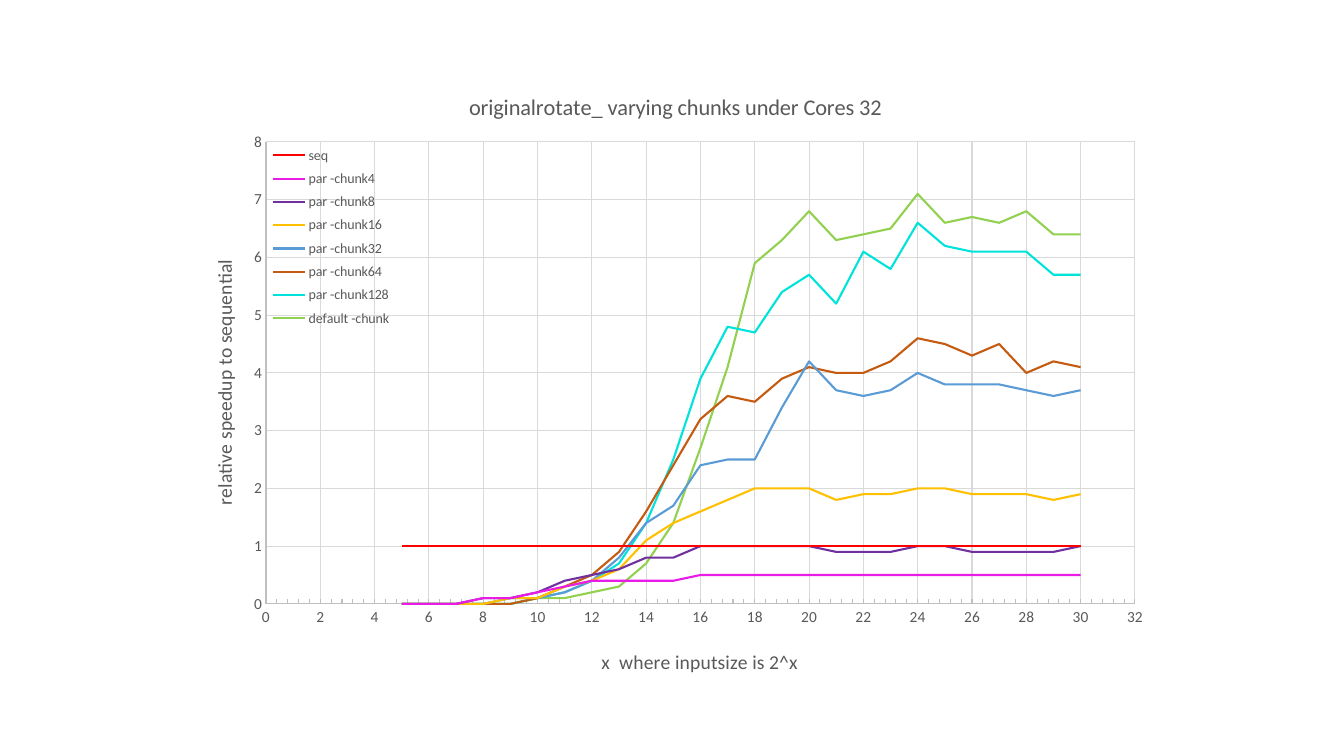
from lxml.etree import SubElement
from pptx import Presentation
from pptx.chart.data import XyChartData
from pptx.dml.color import RGBColor
from pptx.enum.chart import XL_CHART_TYPE, XL_LEGEND_POSITION, XL_TICK_LABEL_POSITION, XL_TICK_MARK
from pptx.oxml.ns import qn
from pptx.util import Pt

PX = 914400 / 100.8
LEFT, TOP, WIDTH, HEIGHT = 180, 66, 983, 625
GREY = "595959"
SERIES = {
    "seq": ("FF0000", [1] * 26),
    "par -chunk4": ("E81CE6", [0, 0, 0, 0.1, 0.1, 0.2, 0.3, 0.4, 0.4, 0.4, 0.4] + [0.5] * 15),
    "par -chunk8": ("7030A0", [0, 0, 0, 0.1, 0.1, 0.2, 0.4, 0.5, 0.6, 0.8, 0.8, 1, 1,
                               1, 1, 1, 0.9, 0.9, 0.9, 1, 1, 0.9, 0.9, 0.9, 0.9, 1]),
    "par -chunk16": ("FFC000", [0, 0, 0, 0, 0.1, 0.1, 0.3, 0.4, 0.6, 1.1, 1.4, 1.6, 1.8,
                                2, 2, 2, 1.8, 1.9, 1.9, 2, 2, 1.9, 1.9, 1.9, 1.8, 1.9]),
    "par -chunk32": ("5B9BD5", [0, 0, 0, 0, 0.1, 0.1, 0.2, 0.4, 0.8, 1.4, 1.7, 2.4, 2.5,
                                2.5, 3.4, 4.2, 3.7, 3.6, 3.7, 4, 3.8, 3.8, 3.8, 3.7, 3.6, 3.7]),
    "par -chunk64": ("C55A11", [0, 0, 0, 0, 0, 0.1, 0.3, 0.5, 0.9, 1.6, 2.4, 3.2, 3.6,
                                3.5, 3.9, 4.1, 4, 4, 4.2, 4.6, 4.5, 4.3, 4.5, 4, 4.2, 4.1]),
    "par -chunk128": ("00E3DA", [0, 0, 0, 0, 0, 0.1, 0.2, 0.4, 0.7, 1.4, 2.5, 3.9, 4.8,
                                 4.7, 5.4, 5.7, 5.2, 6.1, 5.8, 6.6, 6.2, 6.1, 6.1, 6.1, 5.7, 5.7]),
    "default -chunk": ("92D050", [0, 0, 0, 0, 0, 0.1, 0.1, 0.2, 0.3, 0.7, 1.4, 2.7, 4.1,
                                  5.9, 6.3, 6.8, 6.3, 6.4, 6.5, 7.1, 6.6, 6.7, 6.6, 6.8, 6.4, 6.4]),
}


def style(font, size):
    for name, value in {"name": "Calibri", "size": Pt(size), "bold": False}.items():
        setattr(font, name, value)
    font.color.rgb = RGBColor.from_string(GREY)


def place(element, left, top, width=None, height=None):
    for old in element.findall(qn("c:layout")):
        element.remove(old)
    layout = SubElement(element, qn("c:layout"))
    overlay = element.find(qn("c:overlay"))
    if overlay is None:
        element.insert(0, layout)
    else:
        overlay.addprevious(layout)
    manual = SubElement(layout, qn("c:manualLayout"))
    settings = {"xMode": "edge", "yMode": "edge",
                "x": (left - LEFT) / WIDTH, "y": (top - TOP) / HEIGHT}
    if width:
        settings.update(w=width / WIDTH, h=height / HEIGHT)
    if element.tag == qn("c:plotArea"):
        settings = {"layoutTarget": "inner", **settings}
    for name, value in settings.items():
        SubElement(manual, qn(f"c:{name}")).set("val", str(value))


deck = Presentation()
deck.slide_width, deck.slide_height = round(1344 * PX), round(756 * PX)
page = deck.slides.add_slide(deck.slide_layouts[6])

data = XyChartData()
for name, (color, speedups) in SERIES.items():
    series = data.add_series(name)
    for exponent, speedup in enumerate(speedups, 5):
        series.add_data_point(exponent, speedup)
bounds = [round(length * PX) for length in (LEFT, TOP, WIDTH, HEIGHT)]
chart = page.shapes.add_chart(XL_CHART_TYPE.XY_SCATTER_LINES_NO_MARKERS, *bounds, data).chart
style(chart.font, 10)
place(chart.plots[0]._element.getparent(), 266, 142, 869, 462)
chart.plots[0].vary_by_categories = False

for series, (color, speedups) in zip(chart.plots[0].series, SERIES.values()):
    series.smooth = False
    series.format.line.width = Pt(1.5)
    series.format.line.color.rgb = RGBColor.from_string(color)

AXES = [
    (chart.category_axis, {"maximum_scale": 32, "major_unit": 2, "minor_unit": 0.4,
                           "minor_tick_mark": XL_TICK_MARK.INSIDE}),
    (chart.value_axis, {"maximum_scale": 8, "major_unit": 1,
                        "minor_tick_mark": XL_TICK_MARK.NONE}),
]
for axis, settings in AXES:
    settings.update(minimum_scale=0, has_major_gridlines=True, has_minor_gridlines=False,
                    major_tick_mark=XL_TICK_MARK.NONE,
                    tick_label_position=XL_TICK_LABEL_POSITION.NEXT_TO_AXIS)
    for name, value in settings.items():
        setattr(axis, name, value)
    style(axis.tick_labels.font, 11)
    for line, color in ((axis.format.line, "BFBFBF"), (axis.major_gridlines.format.line, "D9D9D9")):
        line.width = Pt(0.75)
        line.color.rgb = RGBColor.from_string(color)

chart.has_title = True
TITLES = [
    (chart.chart_title, "originalrotate_ varying chunks under Cores 32", 16, 465, 88, 0),
    (chart.category_axis.axis_title, "x  where inputsize is 2^x", 14, 598, 645, 0),
    (chart.value_axis.axis_title, "relative speedup to sequential", 14, 207, 256, -90),
]
for title, text, size, left, top, angle in TITLES:
    frame = title.text_frame
    frame.text = text
    style(frame.paragraphs[0].runs[0].font, size)
    frame._txBody.bodyPr.set("rot", str(angle * 60000))
    frame._txBody.bodyPr.set("vert", "horz")
    place(title._element, left, top)

chart.has_legend = True
chart.legend.position = XL_LEGEND_POSITION.RIGHT
chart.legend.include_in_layout = True
style(chart.legend.font, 10)
place(chart.legend._element, 268, 140, 126, 194)

deck.save("out.pptx")
